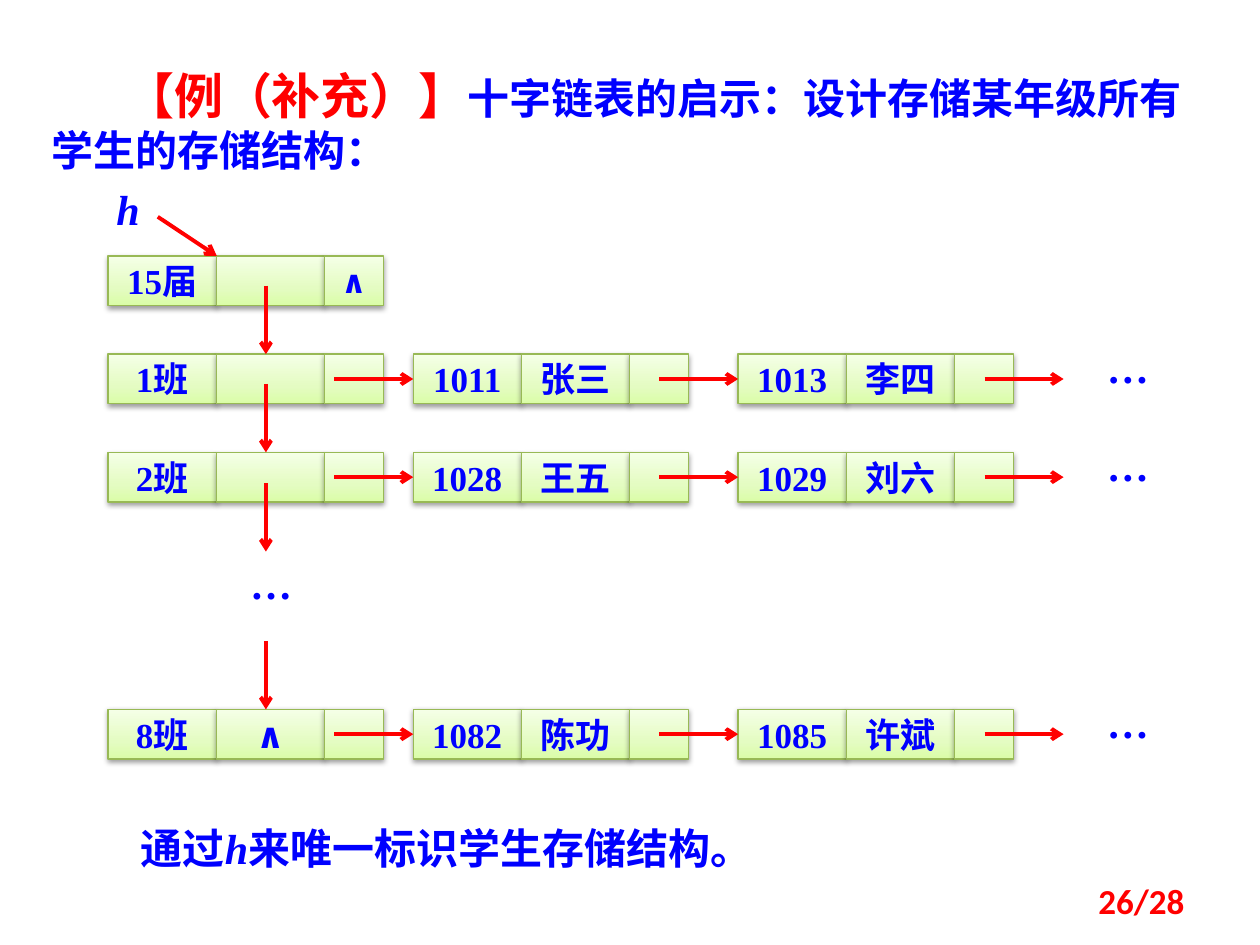
from copy import deepcopy
from dataclasses import dataclass

from lxml import etree
from pptx import Presentation
from pptx import util as u
from pptx.dml.color import RGBColor
from pptx.enum import shapes, text
from pptx.oxml import parse_xml
from pptx.oxml.ns import nsdecls, qn

Cm = u.Cm


# Theme: colours, fonts and type sizes
@dataclass(frozen=True)
class Theme:
    blue: str = "0000FF"
    red: str = "FF0000"
    border: str = "98B955"
    gradient: tuple = ((0, "DAFDA7"), (0.35, "E4FCC2"), (1, "F5FFE7"))
    serif: str = "Times New Roman"
    sans: str = "Calibri"
    lead: int = 28
    body: int = 24
    cell: int = 20
    small: int = 18


THEME = Theme()

# Content
TITLE = [("【例（补充）】", THEME.lead, THEME.red),
         ("十字链表的启示：设计存储某年级所有学生的存储结构：", THEME.body, THEME.blue)]
CLOSING = ["通过", "h", "来唯一标识学生存储结构。"]
PAGE_NUMBER = "26/28"
NULL, MORE = "∧", "…"
GRADE = ("15届", "", NULL)
# (top in cm, class node, student nodes)
CLASSES = [
    (7.14, ("1班", "", ""), [("1011", "张三", ""), ("1013", "李四", "")]),
    (9.12, ("2班", "", ""), [("1028", "王五", ""), ("1029", "刘六", "")]),
    (14.3, ("8班", NULL, ""), [("1082", "陈功", ""), ("1085", "许斌", "")]),
]

# Layout in cm
GRADE_TOP = 5.16
NODE_LEFTS = (2.18, 8.33, 14.88)
CELL_WIDTHS = (2.18, 2.18, 1.19)
CELL_HEIGHT = 1
MORE_LEFT, MORE_WIDTH, MORE_RISE = 21.44, 2.59, 0.39
ACROSS_LENGTH, DOWN_LENGTH = 1.59, 1.38
DOWN_X, DOWN_ENDS = 5.36, (7.14, 9.12, 11.12, 14.3)


def set_font(font, size=THEME.cell, color=THEME.blue, name=THEME.serif):
    font.size, font.name, font.bold = u.Pt(size), name, True
    font.color.rgb = RGBColor.from_string(color)


def add_label(page, place, spans, align=text.PP_ALIGN.CENTER, **style):
    box = page.shapes.add_textbox(*map(Cm, place))
    box.text_frame.word_wrap = True
    para = box.text_frame.paragraphs[0]
    para.alignment = align
    set_font(para.font, **style)
    for words in spans:
        span = para.add_run()
        span.text = words
        if words == "h":
            span.font.italic = True
    return box


def add_cell(page, left, top, width, words):
    box = page.shapes.add_shape(shapes.MSO_SHAPE.RECTANGLE,
                                Cm(left), Cm(top), Cm(width), Cm(CELL_HEIGHT))
    # Three-stop gradient, darkest at the bottom
    box.fill.gradient()
    box.fill.gradient_angle = 90
    stop_list = box._element.spPr.find(".//" + qn("a:gsLst"))
    stop_list.append(deepcopy(stop_list[0]))
    for stop, (position, color) in zip(box.fill.gradient_stops, THEME.gradient):
        stop.position = position
        stop.color.rgb = RGBColor.from_string(color)
    box.line.color.rgb = RGBColor.from_string(THEME.border)
    box.line.width = u.Pt(0.75)
    # Soft shadow below
    box.shadow.inherit = False
    box._element.spPr.find(qn("a:effectLst")).append(parse_xml(
        f'<a:outerShdw {nsdecls("a")} blurRad="{u.Pt(3.1)}" dist="{u.Pt(1.6)}" '
        'dir="5400000" rotWithShape="0"><a:srgbClr val="000000">'
        '<a:alpha val="38000"/></a:srgbClr></a:outerShdw>'))
    if words:
        box.text_frame.vertical_anchor = text.MSO_ANCHOR.MIDDLE
        para = box.text_frame.paragraphs[0]
        para.alignment = text.PP_ALIGN.CENTER
        para.add_run().text = words
        narrow = width == CELL_WIDTHS[-1]
        set_font(para.font, THEME.small if narrow else THEME.cell,
                 name=THEME.sans if words == NULL else THEME.serif)


def add_node(page, left, top, cells):
    for width, words in zip(CELL_WIDTHS, cells):
        add_cell(page, left, top, width, words)
        left += width


def add_arrow(page, *ends):
    arrow = page.shapes.add_connector(shapes.MSO_CONNECTOR.STRAIGHT, *map(Cm, ends))
    arrow.line.color.rgb = RGBColor.from_string(THEME.red)
    arrow.line.width = u.Pt(2.25)
    etree.SubElement(arrow.line._get_or_add_ln(), qn("a:tailEnd"), type="arrow")
    etree.SubElement(arrow._element.spPr, qn("a:effectLst"))


def add_title(page):
    box = page.shapes.title
    box.left, box.top, box.width, box.height = map(Cm, (0.79, 1.19, 23.42, 2.49))
    frame = box.text_frame
    frame.word_wrap = True
    frame.auto_size = text.MSO_AUTO_SIZE.NONE
    frame.vertical_anchor = text.MSO_ANCHOR.TOP
    para = frame.paragraphs[0]
    para.alignment = text.PP_ALIGN.LEFT
    para._p.get_or_add_pPr().set("indent", str(Cm(1.48)))
    for words, size, color in TITLE:
        span = para.add_run()
        span.text = words
        set_font(span.font, size, color)


def main():
    deck = Presentation()
    deck.slide_width, deck.slide_height = Cm(25.4), Cm(19.05)
    page = deck.slides.add_slide(deck.slide_layouts[5])
    add_title(page)

    # Grade node and the class rows
    add_node(page, NODE_LEFTS[0], GRADE_TOP, GRADE)
    for top, head, students in CLASSES:
        for left, cells in zip(NODE_LEFTS, [head, *students]):
            add_node(page, left, top, cells)
        middle = top + CELL_HEIGHT / 2
        for end in (*NODE_LEFTS[1:], MORE_LEFT):
            add_arrow(page, end - ACROSS_LENGTH, middle, end, middle)
        add_label(page, (MORE_LEFT, top - MORE_RISE, MORE_WIDTH, 1.27),
                  [MORE], size=THEME.body)

    # Links down the class column
    for end in DOWN_ENDS:
        add_arrow(page, DOWN_X, end - DOWN_LENGTH, DOWN_X, end)
    add_label(page, (4.17, 11.12, MORE_WIDTH, 1.27), [MORE], size=THEME.body)

    # Head pointer
    add_arrow(page, 3.18, 4.37, 4.37, GRADE_TOP)
    add_label(page, (1.78, 3.58, 1.6, 1.27), ["h"], size=THEME.body)

    # Closing line and page number
    add_label(page, (2.59, 16.46, 17.27, 1.27), CLOSING,
              text.PP_ALIGN.LEFT, size=THEME.body)
    number = add_label(page, (18.21, 17.65, 5.92, 1.02), [PAGE_NUMBER],
                       text.PP_ALIGN.RIGHT, color=THEME.red, name=THEME.sans)
    number.text_frame.vertical_anchor = text.MSO_ANCHOR.MIDDLE

    deck.save("out.pptx")


if __name__ == "__main__":
    main()
